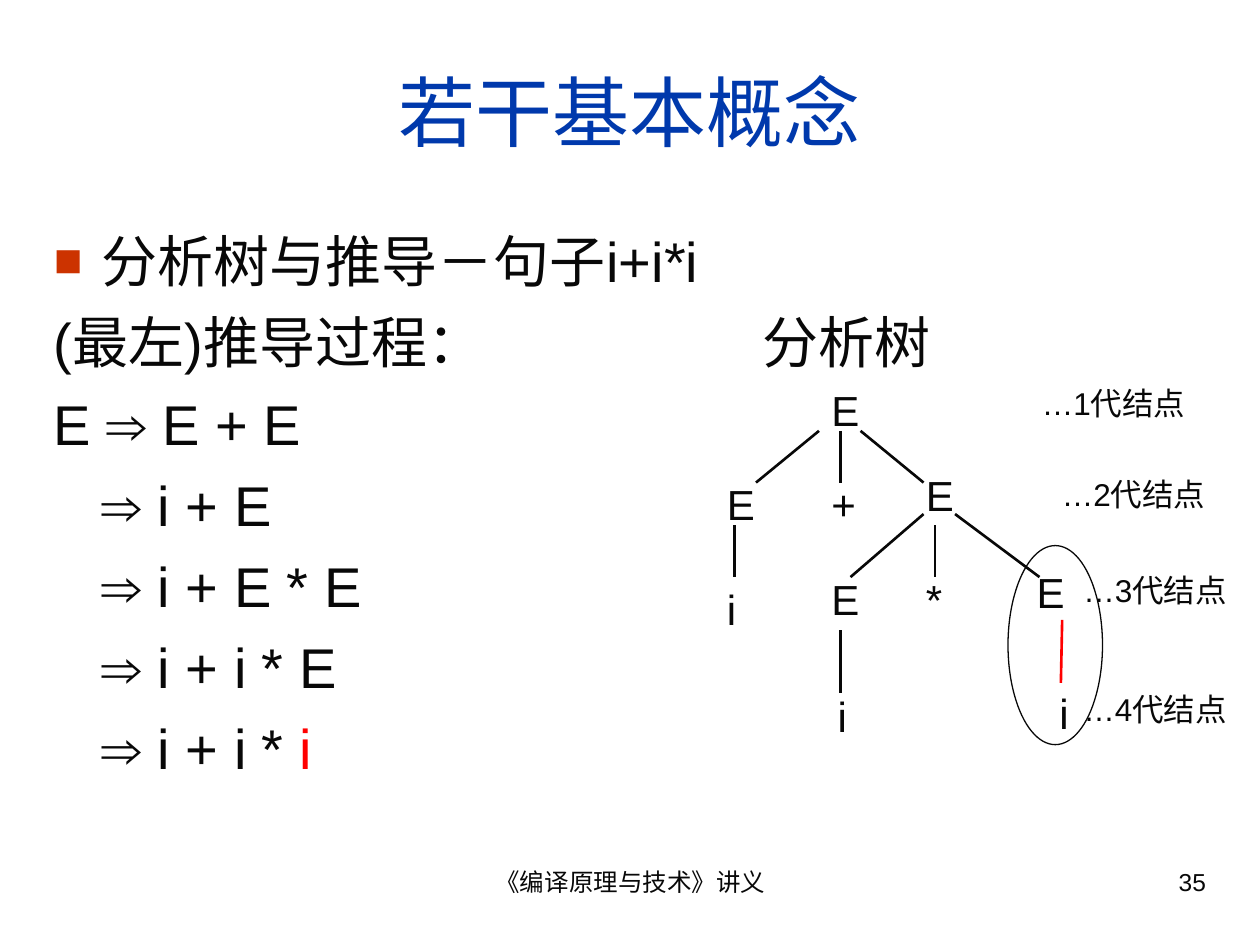
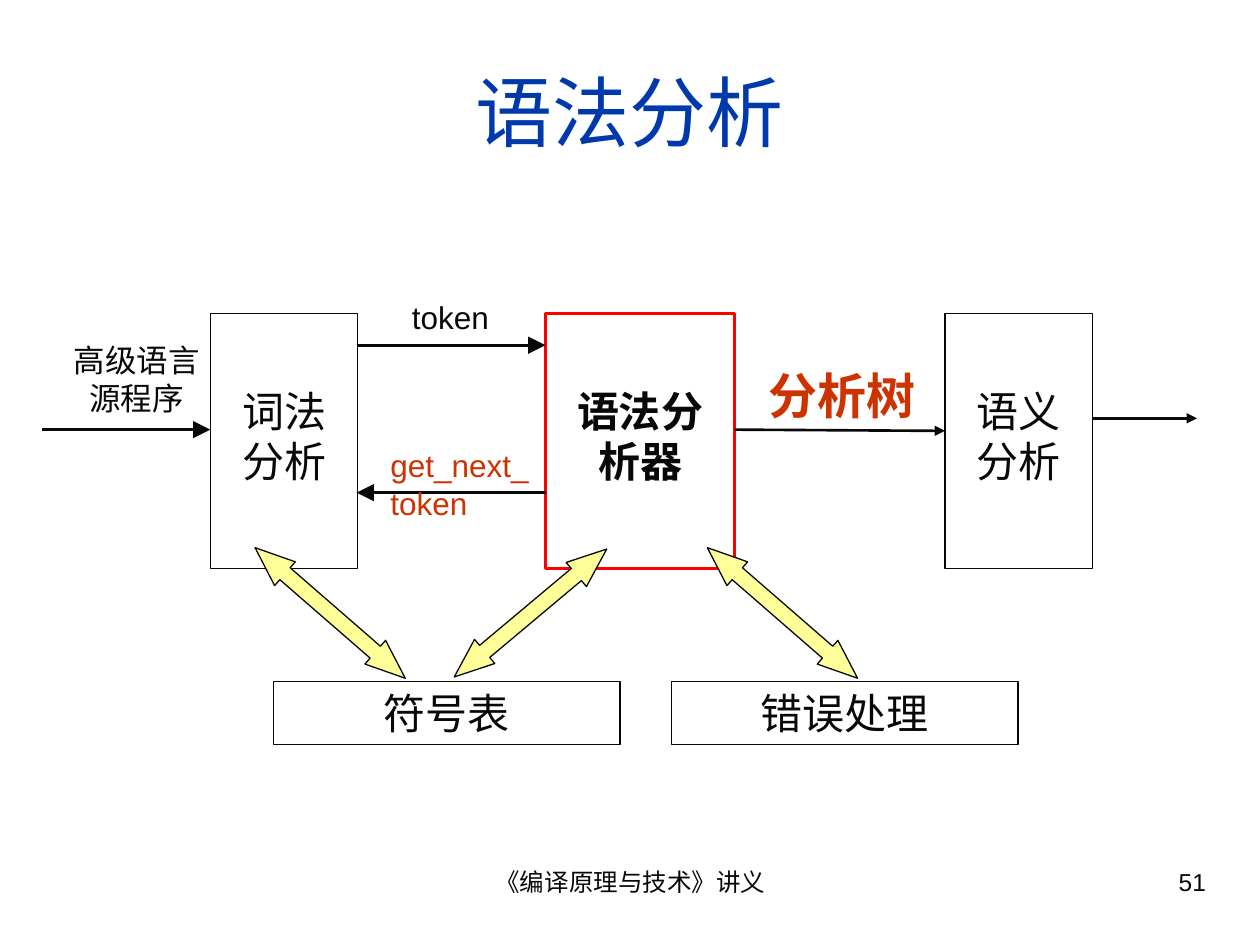
from lxml.etree import SubElement
from pptx import Presentation
from pptx.dml.color import RGBColor
from pptx.enum.shapes import MSO_CONNECTOR, MSO_SHAPE
from pptx.enum.text import MSO_ANCHOR, PP_ALIGN
from pptx.oxml.ns import qn
from pptx.util import Inches, Pt

# Shared style
FONT = "Arial"
BLACK = RGBColor(0x08, 0x08, 0x08)
BLUE = RGBColor(0x00, 0x39, 0xAC)
ORANGE = RGBColor(0xCC, 0x33, 0x00)
RED = RGBColor(0xFF, 0x00, 0x00)
YELLOW = RGBColor(0xFF, 0xFF, 0x99)
FOOTER = "《编译原理与技术》讲义"
THIN, MEDIUM = 0.75, 1.5
INDENT = 0.38


class Deck:
    def __init__(self):
        self.presentation = Presentation()
        self.presentation.slide_width = Inches(10)
        self.presentation.slide_height = Inches(7.5)
        self.slide = None

    def add_slide(self, title, number):
        layout = self.presentation.slide_layouts[6]
        self.slide = self.presentation.slides.add_slide(layout)
        self.text(title, 0.33, 0.25, 9.34, 1.25, 44, BLUE,
                  PP_ALIGN.CENTER, anchor=MSO_ANCHOR.MIDDLE)
        self.text(FOOTER, 3.42, 6.83, 3.17, 0.52, 14, align=PP_ALIGN.CENTER)
        self.text(str(number), 7.17, 6.83, 2.5, 0.52, 14, align=PP_ALIGN.RIGHT)

    def run(self, paragraph, text, size, color=BLACK, bold=False):
        run = paragraph.add_run()
        run.text = text
        run.font.name = FONT
        run.font.size = Pt(size)
        run.font.bold = bold
        run.font.color.rgb = color

    def frame(self, left, top, width, height):
        box = self.slide.shapes.add_textbox(
            Inches(left), Inches(top), Inches(width), Inches(height))
        box.text_frame.word_wrap = True
        return box.text_frame

    def text(self, text, left, top, width, height, size, color=BLACK,
             align=PP_ALIGN.LEFT, bold=False, anchor=MSO_ANCHOR.TOP):
        frame = self.frame(left, top, width, height)
        frame.vertical_anchor = anchor
        paragraph = frame.paragraphs[0]
        paragraph.alignment = align
        self.run(paragraph, text, size, color, bold)

    def body(self, lines):
        """Each line is (style, runs); a run is (text, color)."""
        frame = self.frame(0.33, 1.75, 9.34, 4.92)
        for index, (style, runs) in enumerate(lines):
            paragraph = frame.add_paragraph() if index else frame.paragraphs[0]
            paragraph.space_before = Pt(8)
            properties = paragraph._p.get_or_add_pPr()
            if style == "bullet":
                self.bullet(properties)
            elif style == "indent":
                properties.set("marL", str(Inches(INDENT)))
            elif style == "columns":
                tabs = SubElement(properties, qn("a:tabLst"))
                SubElement(tabs, qn("a:tab"), pos=str(Inches(5.62)), algn="l")
            for text, color in runs:
                self.run(paragraph, text, 32, color)

    def bullet(self, properties):
        properties.set("marL", str(Inches(INDENT)))
        properties.set("indent", str(-Inches(INDENT)))
        color = SubElement(properties, qn("a:buClr"))
        SubElement(color, qn("a:srgbClr"), val=str(ORANGE))
        SubElement(properties, qn("a:buSzPct"), val="85000")
        SubElement(properties, qn("a:buFont"), typeface=FONT)
        SubElement(properties, qn("a:buChar"), char="■")

    def shape(self, kind, left, top, width, height, fill=None,
              line=BLACK, weight=THIN):
        shape = self.slide.shapes.add_shape(
            kind, Inches(left), Inches(top), Inches(width), Inches(height))
        shape.shadow.inherit = False
        if fill is None:
            shape.fill.background()
        else:
            shape.fill.solid()
            shape.fill.fore_color.rgb = fill
        shape.line.color.rgb = line
        shape.line.width = Pt(weight)
        return shape

    def box(self, text, left, top, width, height, line=BLACK, weight=THIN,
            bold=False, bottom=0.05):
        shape = self.shape(MSO_SHAPE.RECTANGLE, left, top, width, height,
                           line=line, weight=weight)
        frame = shape.text_frame
        frame.word_wrap = True
        frame.vertical_anchor = MSO_ANCHOR.MIDDLE
        frame.margin_bottom = Inches(bottom)
        paragraph = frame.paragraphs[0]
        paragraph.alignment = PP_ALIGN.CENTER
        self.run(paragraph, text, 24, BLACK, bold)

    def double_arrow(self, left, top, rotation):
        shape = self.shape(MSO_SHAPE.LEFT_RIGHT_ARROW, left, top, 1.58, 0.25,
                           fill=YELLOW)
        shape.adjustments[0] = 0.5
        shape.adjustments[1] = 1.26
        shape.rotation = rotation

    def line(self, x1, y1, x2, y2, color=BLACK, arrow=None):
        connector = self.slide.shapes.add_connector(
            MSO_CONNECTOR.STRAIGHT,
            Inches(x1), Inches(y1), Inches(x2), Inches(y2))
        connector.line.color.rgb = color
        connector.line.width = Pt(MEDIUM)
        if arrow:
            SubElement(connector.line._get_or_add_ln(), qn("a:tailEnd"),
                       type="triangle", w=arrow, len=arrow)
        SubElement(connector._element.spPr, qn("a:effectLst"))


deck = Deck()

# Slide 1: derivation on the left, parse tree on the right
deck.add_slide("若干基本概念", 35)
deck.body([
    ("bullet", [("分析树与推导－句子i+i*i", BLACK)]),
    ("columns", [("(最左)推导过程：\t分析树", BLACK)]),
    ("plain", [("E ⇒ E + E", BLACK)]),
    ("indent", [("⇒ i + E", BLACK)]),
    ("indent", [("⇒ i + E * E", BLACK)]),
    ("indent", [("⇒ i + i * E", BLACK)]),
    ("indent", [("⇒ i + i * ", BLACK), ("i", RED)]),
])

# Tree nodes
for symbol, left, top in [
    ("E", 6.5, 3),
    ("E", 5.67, 3.75), ("+", 6.5, 3.75), ("E", 7.25, 3.68),
    ("i", 5.67, 4.58), ("E", 6.5, 4.5), ("*", 7.25, 4.5), ("E", 8.13, 4.45),
    ("i", 6.55, 5.43), ("i", 8.31, 5.41),
]:
    deck.text(symbol, left, top, 0.6, 0.5, 24)

# Tree branches
for branch in [
    (6.5, 3.42, 6, 3.83), (6.67, 3.42, 6.67, 3.83), (6.83, 3.42, 7.33, 3.83),
    (5.83, 4.17, 5.83, 4.58),
    (7.33, 4.08, 6.75, 4.58), (7.42, 4.17, 7.42, 4.58),
    (7.58, 4.08, 8.25, 4.58),
    (6.67, 5, 6.67, 5.5), (8.43, 4.92, 8.42, 5.42, RED),
]:
    deck.line(*branch)

# Generation labels and the marked last step
generations = [(8.17, 3), (8.33, 3.72), (8.5, 4.48), (8.5, 5.43)]
for generation, (left, top) in enumerate(generations, start=1):
    deck.text(f"…{generation}代结点", left, top, 1.42, 0.4, 18)
deck.shape(MSO_SHAPE.OVAL, 8, 4.33, 0.75, 1.58)

# Slide 2: the parser among the compiler stages
deck.add_slide("语法分析", 51)
STAGE_TOP, STAGE_HEIGHT = 2.49, 2.02
for name, left, width, color, weight, bold in [
    ("词法分析", 1.67, 1.17, BLACK, THIN, False),
    ("语法分析器", 4.33, 1.5, RED, MEDIUM, True),
    ("语义分析", 7.5, 1.17, BLACK, THIN, False),
]:
    deck.box(name, left, STAGE_TOP, width, STAGE_HEIGHT, color, weight, bold,
             bottom=0.13)
for name, left in [("符号表", 2.17), ("错误处理", 5.33)]:
    deck.box(name, left, 5.41, 2.75, 0.5)

# Data flow
for flow in [
    (0.33, 3.41, 1.67, 3.41, BLACK, "lg"),
    (2.83, 2.74, 4.33, 2.74, BLACK, "lg"),
    (4.33, 3.91, 2.83, 3.91, BLACK, "lg"),
    (5.83, 3.41, 7.5, 3.42, BLACK, "med"),
    (8.67, 3.32, 9.5, 3.32, BLACK, "med"),
]:
    deck.line(*flow)
deck.text("高级语言源程序", 0.42, 2.66, 1.33, 0.7, 18, align=PP_ALIGN.CENTER)
deck.text("token", 3.17, 2.32, 1.17, 0.4, 18)
deck.text("get_next_token", 3, 3.49, 1.33, 0.7, 18, ORANGE)
deck.text("分析树", 6, 2.85, 1.42, 0.57, 28, ORANGE, bold=True)

# Links to the shared services
for left, rotation in [(1.83, 41), (3.42, 140), (5.42, 41)]:
    deck.double_arrow(left, 4.74, rotation)

deck.presentation.save("out.pptx")
